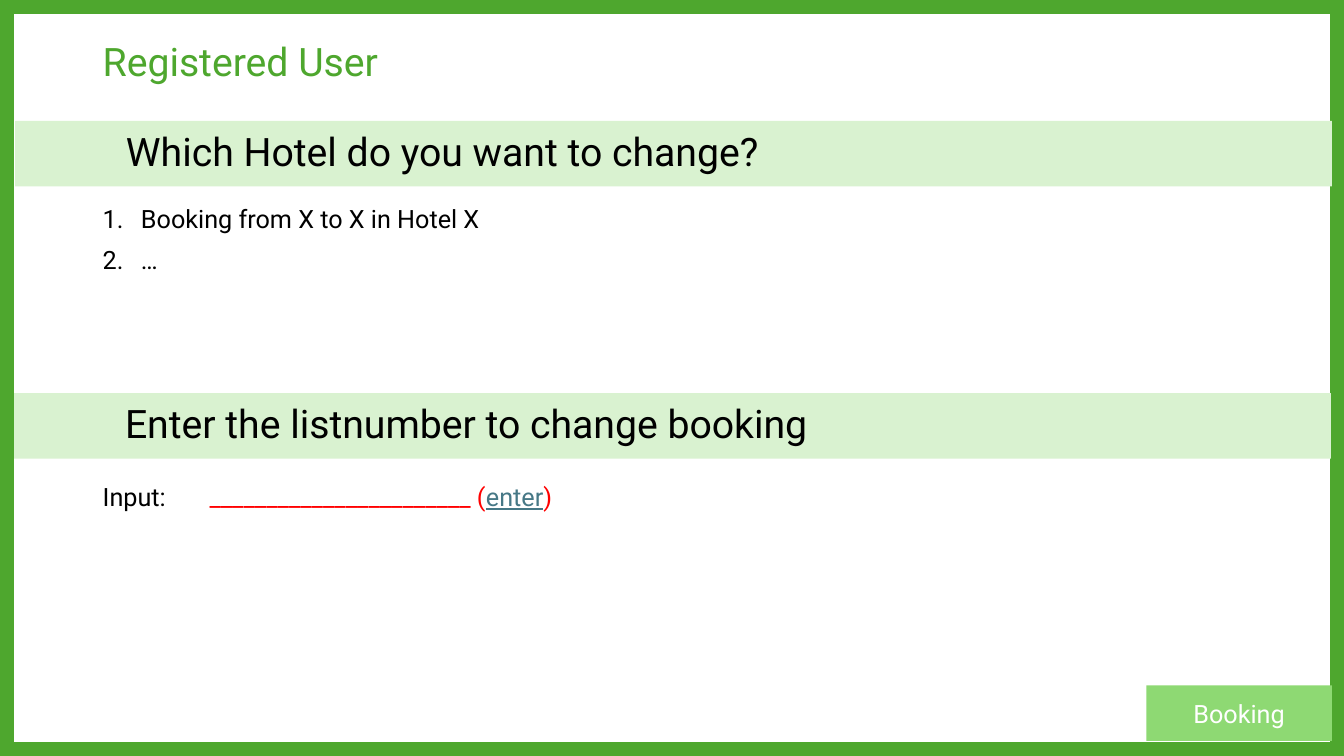
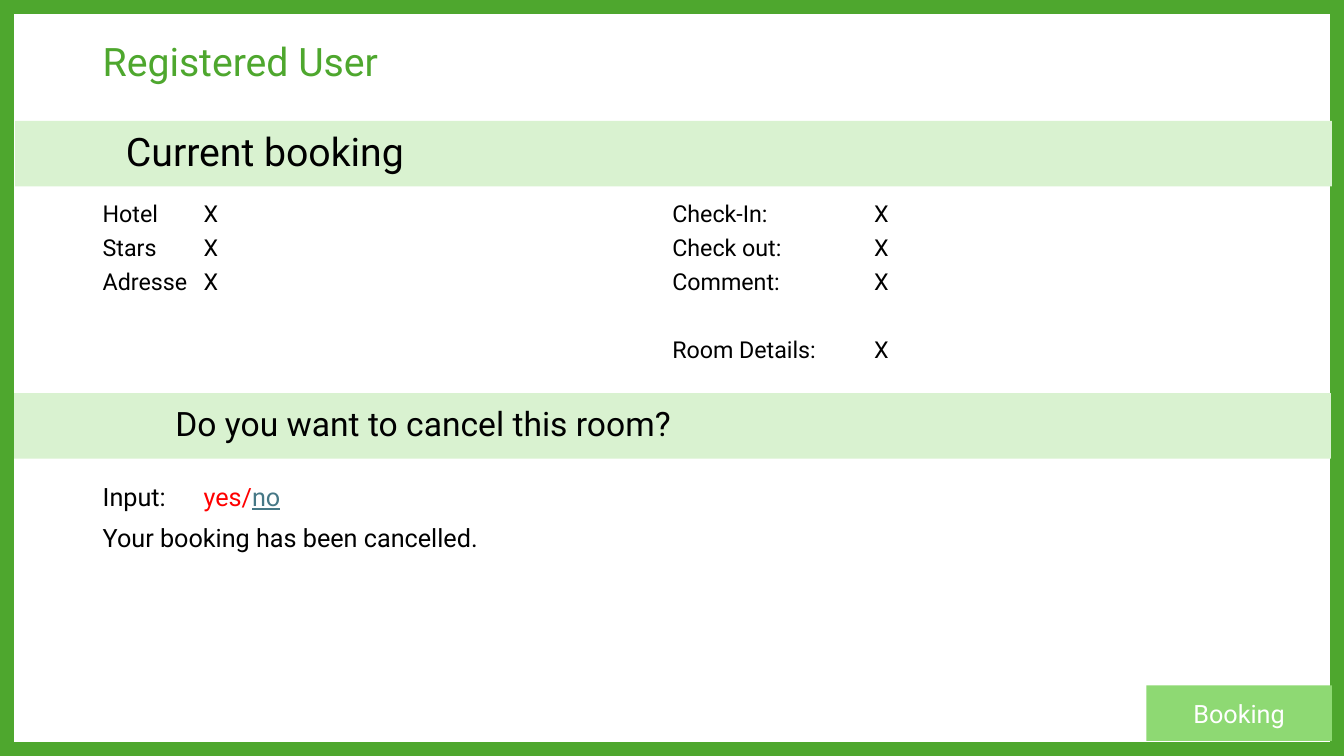
from lxml import etree
from pptx import Presentation
from pptx.dml.color import RGBColor
from pptx.enum.shapes import MSO_SHAPE
from pptx.enum.text import MSO_ANCHOR, PP_ALIGN
from pptx.oxml.ns import qn
from pptx.util import Inches, Pt

GREEN = RGBColor(0x4E, 0xA7, 0x2E)
LIME = RGBColor(0x8E, 0xD9, 0x73)
PALE = RGBColor(0xD9, 0xF2, 0xD0)
BLACK = RGBColor(0, 0, 0)
WHITE = RGBColor(255, 255, 255)
RED = RGBColor(255, 0, 0)
TEAL = RGBColor(0x46, 0x78, 0x86)

RECT = MSO_SHAPE.RECTANGLE
MID, TOP = MSO_ANCHOR.MIDDLE, MSO_ANCHOR.TOP
LEFT, CENTER = PP_ALIGN.LEFT, PP_ALIGN.CENTER
FONT = "Roboto"
EDGE, HALF = 0.92, 6.57  # left of the first and second text column
WIDE = 11.5


def add_text(slide, lines, box, size=18, color=BLACK, fill=None, align=LEFT,
             anchor=TOP, inset=0.1, leading=0.9, before=10, tab=None,
             number=False, gaps=None):
    """Write lines, each a string or a list of (text, color) runs.

    gaps maps a line index to its own space before; teal runs are underlined.
    """
    place = [Inches(v) for v in box]
    if fill is None:
        shape = slide.shapes.add_textbox(*place)
    else:
        shape = slide.shapes.add_shape(RECT, *place)
        shape.shadow.inherit = False
        shape.fill.solid()
        shape.fill.fore_color.rgb = fill
        shape.line.fill.background()
    frame = shape.text_frame
    frame.word_wrap = True
    frame.vertical_anchor = anchor
    frame.margin_left = Inches(inset)
    for i, line in enumerate(lines):
        para = frame.paragraphs[0] if i == 0 else frame.add_paragraph()
        props = para._p.get_or_add_pPr()
        if number:
            props.set("marL", str(Inches(0.38)))
            props.set("indent", str(-Inches(0.38)))
            etree.SubElement(props, qn("a:buAutoNum"), type="arabicPeriod")
        if tab:
            stops = etree.SubElement(props, qn("a:tabLst"))
            etree.SubElement(stops, qn("a:tab"), pos=str(Inches(tab)), algn="l")
        para.alignment = align
        para.line_spacing = leading
        if i:
            para.space_before = Pt((gaps or {}).get(i, before))
        for text, tint in [(line, color)] if isinstance(line, str) else line:
            run = para.add_run()
            run.text = text
            run.font.name = FONT
            run.font.size = Pt(size)
            run.font.color.rgb = tint
            run.font.underline = tint == TEAL


deck = Presentation()
deck.slide_width, deck.slide_height = Inches(13.33), Inches(7.5)
blank = deck.slide_layouts[6]

# Upper heading, lower heading, size and inset of the lower heading
heads = [
    ("Which Hotel do you want to change?",
     "Enter the listnumber to change booking", 28, 1.1),
    ("Current booking", "Do you want to cancel this room?", 24, 1.6),
]
pages = []
for upper, lower, size, inset in heads:
    page = deck.slides.add_slide(blank)
    border = page.shapes.add_shape(RECT, 0, 0, deck.slide_width, deck.slide_height)
    border.shadow.inherit = False
    border.fill.background()
    border.line.color.rgb = GREEN
    border.line.width = Pt(20)
    add_text(page, ["Booking"], (11.37, 6.8, 1.84, 0.55), color=WHITE, fill=LIME,
             align=CENTER, anchor=MID, leading=1.0)
    add_text(page, ["Registered User"], (EDGE, 0.31, WIDE, 0.65), size=28,
             color=GREEN, anchor=MID)
    add_text(page, [upper], (0.15, 1.2, 13.06, 0.65), size=28, fill=PALE,
             anchor=MID, inset=1.1)
    add_text(page, [lower], (0.14, 3.9, 13.06, 0.65), size=size, fill=PALE,
             anchor=MID, inset=inset)
    pages.append(page)
choose, cancel = pages

# Slide 1: choose a booking
add_text(choose, ["Booking from X to X in Hotel X", "…"],
         (EDGE, 2, WIDE / 2, 1.7), number=True)
entry = [("Input:\t", BLACK), ("_______________________ (", RED),
         ("enter", TEAL), (")", RED)]
add_text(choose, [entry], (EDGE, 4.76, WIDE / 2, 1.9), tab=1.06)

# Slide 2: cancel the booking
columns = [
    (EDGE, 1, ["Hotel", "Stars", "Adresse"]),
    (HALF, 2, ["Check-In:", "Check out:", "Comment:", "Room Details:"]),
]
for left, tab, labels in columns:
    add_text(cancel, [label + "\tX" for label in labels],
             (left, 2, WIDE / 2, 1.7), size=16.6, leading=0.7, before=10.5,
             tab=tab, gaps={3: 34.5})
answer = [("Input:\t", BLACK), ("yes/", RED), ("no", TEAL)]
add_text(cancel, [answer, "Your booking has been cancelled."],
         (EDGE, 4.76, WIDE / 2, 1.9), tab=1)

deck.save("out.pptx")
